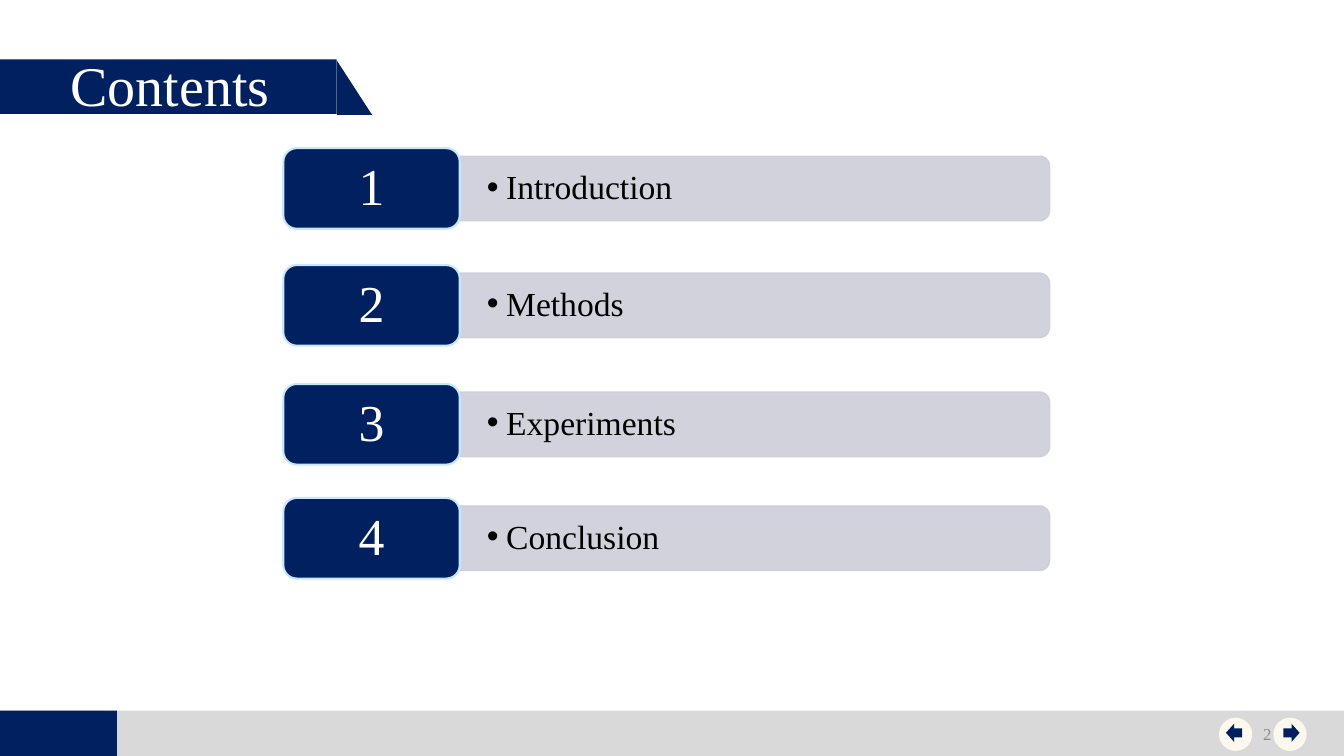
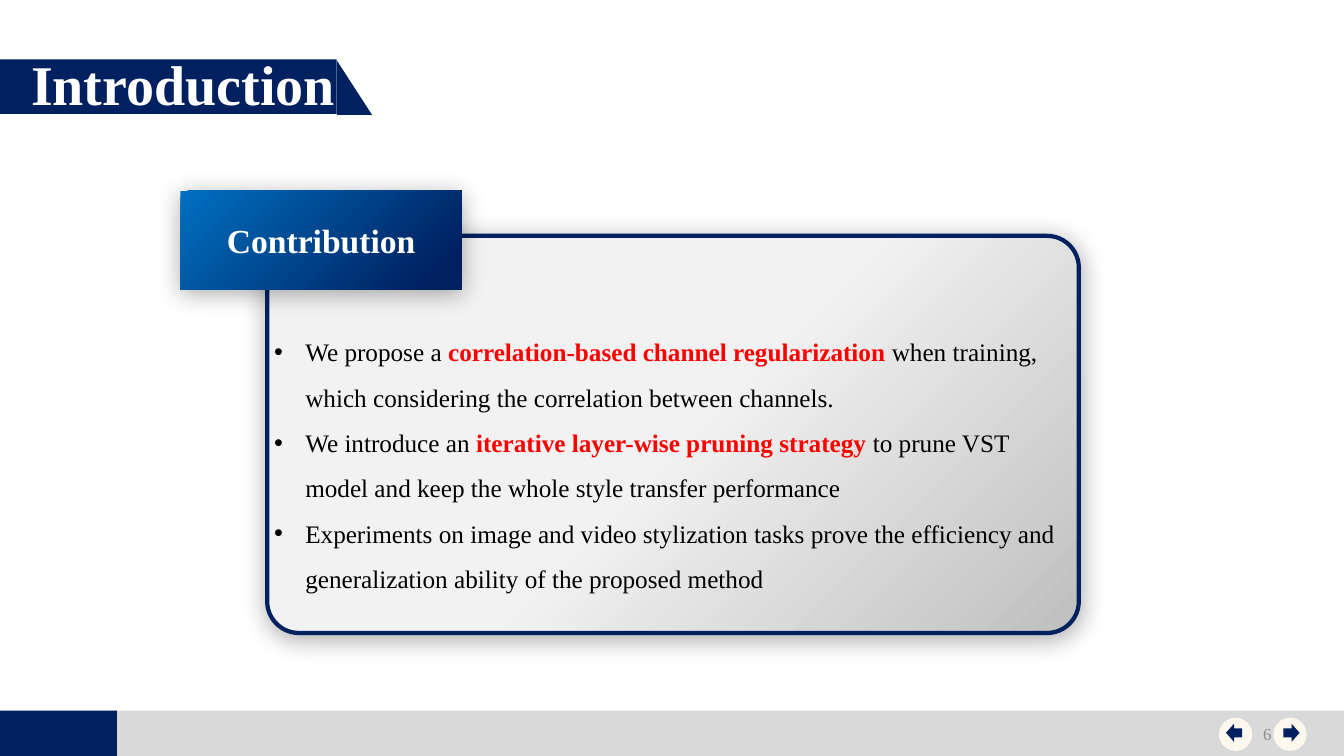
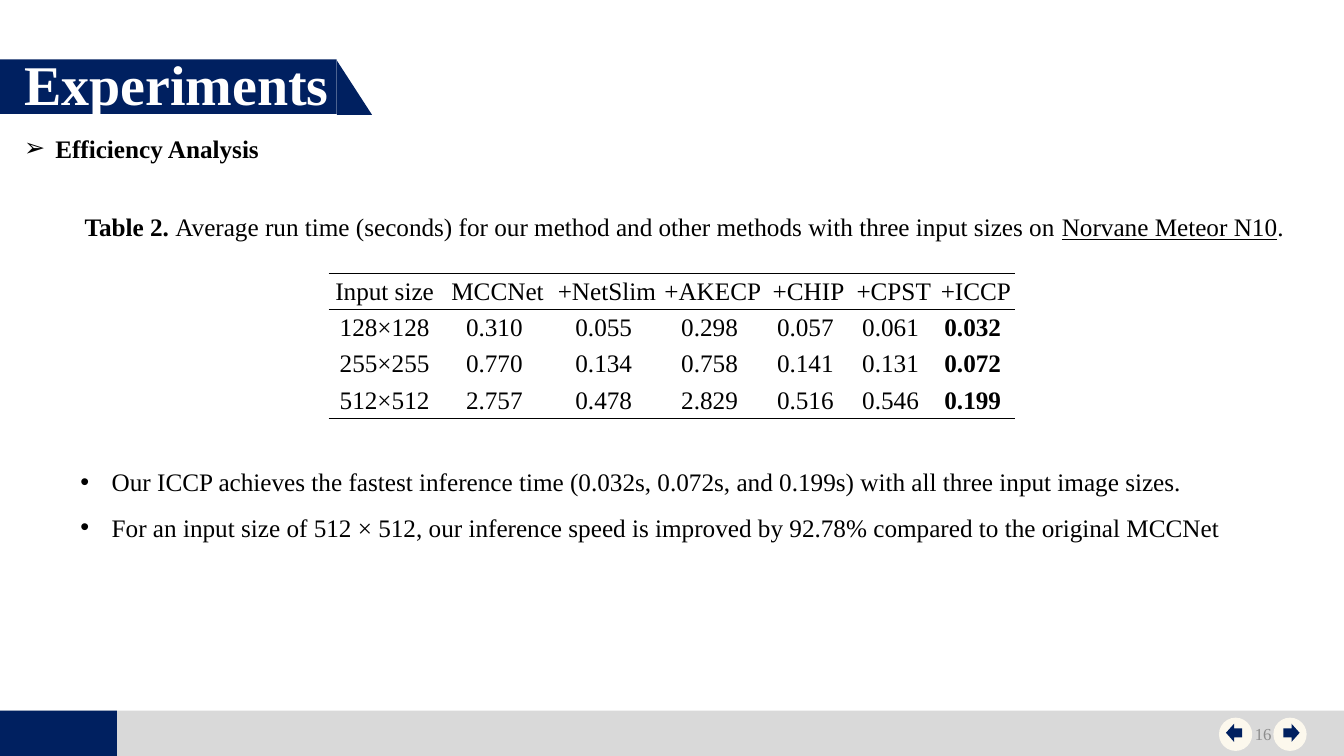
from dataclasses import dataclass
from math import cos, pi, sin

from lxml import etree
from pptx import Presentation
from pptx import util as u
from pptx.dml.color import RGBColor
from pptx.enum import shapes, text
from pptx.oxml.ns import qn

KIND = shapes.MSO_SHAPE
ALIGN = text.PP_ALIGN
MIDDLE = text.MSO_ANCHOR.MIDDLE


@dataclass(frozen=True)
class Theme:
    font: str = "Times New Roman"
    navy: str = "002060"
    blue: str = "0070C0"
    white: str = "FFFFFF"
    black: str = "000000"
    red: str = "FF0000"
    band: str = "D9D9D9"
    cream: str = "FCF8ED"
    bar: str = "CCCED9"
    number_edge: str = "C6E7FC"
    card_light: str = "F2F2F2"
    card_dark: str = "BFBFBF"
    page: str = "8C8C8C"
    title_size: int = 40
    number_size: int = 37
    heading_size: int = 24
    body_size: int = 18
    page_size: int = 12


T = Theme()
WIDTH, HEIGHT = 13.33, 7.5
INSETS = (0.1, 0.05, 0.1, 0.05)
HANGING = 0.31

# Content: a paragraph is a list of (words, format) runs.
PLAIN, STRONG = {}, {"bold": True}
KEY = {"bold": True, "color": T.red}

AGENDA = [("Introduction", 1.55), ("Methods", 2.71),
          ("Experiments", 3.89), ("Conclusion", 5.02)]

CONTRIBUTIONS = [
    [("We propose a ", PLAIN),
     ("correlation-based channel regularization ", KEY),
     ("when training, which considering the correlation between channels.", PLAIN)],
    [("We introduce an ", PLAIN),
     ("iterative layer-wise pruning strategy ", KEY),
     ("to prune VST model and keep the whole style transfer performance", PLAIN)],
    [("Experiments on image and video stylization tasks prove the efficiency and "
      "generalization ability of the proposed method", PLAIN)],
]

CAPTION = [
    ("Table 2. ", STRONG),
    ("Average run time (seconds) for our method and other methods "
     "with three input sizes on ", PLAIN),
    ("Norvane Meteor N10", {"underline": True}),
    (".", PLAIN),
]
METHODS = ["MCCNet", "+NetSlim", "+AKECP", "+CHIP", "+CPST", "+ICCP"]
RUN_TIMES = {
    "128×128": [0.310, 0.055, 0.298, 0.057, 0.061, 0.032],
    "255×255": [0.770, 0.134, 0.758, 0.141, 0.131, 0.072],
    "512×512": [2.757, 0.478, 2.829, 0.516, 0.546, 0.199],
}
COLUMN_WIDTHS = [1.11, 1.13, 1.04, 1.06, 0.84, 0.85, 0.78]
ROW_HEIGHT = 0.36

FINDINGS = [
    [("Our ICCP achieves the fastest inference time (0.032s, 0.072s, and 0.199s) "
      "with all three input image sizes.", PLAIN)],
    [("For an input size of 512 × 512, our inference speed is improved by 92.78% "
      "compared to the original MCCNet", PLAIN)],
]


def rgb(code):
    return RGBColor.from_string(code)


def child(parent, tag, **attributes):
    return etree.SubElement(parent, qn(tag), {k: str(v) for k, v in attributes.items()})


def write(frame, paragraphs, size=T.body_size, color=T.black, align=ALIGN.LEFT,
          spacing=None, bullet=None, hanging=HANGING, anchor=None, insets=INSETS):
    frame.word_wrap = True
    if anchor is not None:
        frame.vertical_anchor = anchor
    for side, inset in zip(("left", "top", "right", "bottom"), insets):
        setattr(frame, f"margin_{side}", u.Inches(inset))
    for i, runs in enumerate(paragraphs):
        paragraph = frame.add_paragraph() if i else frame.paragraphs[0]
        paragraph.alignment = align
        if spacing:
            paragraph.line_spacing = spacing
        if bullet:
            properties = paragraph._p.get_or_add_pPr()
            properties.set("marL", str(u.Inches(hanging)))
            properties.set("indent", str(-u.Inches(hanging)))
            child(properties, "a:buFont", typeface="Arial")
            child(properties, "a:buChar", char=bullet)
        for words, override in runs:
            run = paragraph.add_run()
            run.text = words
            look = {"name": T.font, "size": u.Pt(size), "color": color, **override}
            run.font.color.rgb = rgb(look.pop("color"))
            for key, value in look.items():
                setattr(run.font, key, value)


def add_text(slide, box, paragraphs, **look):
    write(slide.shapes.add_textbox(*map(u.Inches, box)).text_frame, paragraphs, **look)


def paint(shape, fill, line=None, line_width=1):
    """Fill with one colour, or with a diagonal gradient of (position, colour) stops."""
    shape.shadow.inherit = False
    if isinstance(fill, str):
        shape.fill.solid()
        shape.fill.fore_color.rgb = rgb(fill)
    else:
        shape.fill.gradient()
        shape.fill.gradient_angle = 315
        for stop, (position, color) in zip(shape.fill.gradient_stops, fill):
            stop.position, stop.color.rgb = position, rgb(color)
    if line:
        shape.line.color.rgb = rgb(line)
        shape.line.width = u.Pt(line_width)
    else:
        shape.line.fill.background()
    return shape


def add_block(slide, kind, box, fill, **outline):
    return paint(slide.shapes.add_shape(kind, *map(u.Inches, box)), fill, **outline)


def cast_shadow(shape):
    shadow = child(shape._element.spPr.find(qn("a:effectLst")), "a:outerShdw",
                   blurRad=u.Pt(17.8), dist=u.Pt(3), dir=87 * 60000,
                   algn="ctr", rotWithShape=0)
    child(child(shadow, "a:srgbClr", val=T.black), "a:alpha", val=33000)


def add_agenda_bar(slide, left, top, width, height, radius=0.1, steps=8):
    """Draw a bar with rounded corners on its right side only."""
    right, bottom = left + width, top + height
    outline = [(left, bottom), (left, top)]
    for center_y, start in ((top + radius, -pi / 2), (bottom - radius, 0)):
        for step in range(steps + 1):
            angle = start + step * pi / 2 / steps
            outline.append((right - radius + radius * cos(angle),
                            center_y + radius * sin(angle)))
    points = [(u.Inches(x), u.Inches(y)) for x, y in outline]
    builder = slide.shapes.build_freeform(*points[0])
    builder.add_line_segments(points[1:], close=True)
    bar = paint(builder.convert_to_shape(), T.bar, line=T.bar)
    for color in bar._element.spPr.iter(qn("a:srgbClr")):
        child(color, "a:alpha", val=90000)
    return bar


def new_slide(deck, title, page, title_left, title_top=0.44, bold=True):
    slide = deck.slides.add_slide(deck.slide_layouts[6])
    band_top, band_height = 7.05, HEIGHT - 7.05
    add_block(slide, KIND.RECTANGLE, (0, band_top, WIDTH, band_height), T.band)
    add_block(slide, KIND.RECTANGLE, (0, band_top, 1.16, band_height), T.navy)
    add_block(slide, KIND.RECTANGLE, (0, 0.59, 3.34, 0.54), T.navy)
    add_block(slide, KIND.RIGHT_TRIANGLE, (3.34, 0.6, 0.35, 0.54), T.navy)
    add_text(slide, (title_left, title_top, 3.69, 0.77), [[(title, {"bold": bold})]],
             size=T.title_size, color=T.white)
    for arrow, disc_left, arrow_left in ((KIND.RIGHT_ARROW, 12.63, 12.73),
                                         (KIND.LEFT_ARROW, 12.09, 12.16)):
        add_block(slide, KIND.OVAL, (disc_left, 7.12, 0.33, 0.33), T.cream)
        add_block(slide, arrow, (arrow_left, 7.18, 0.16, 0.18), T.navy)
    add_text(slide, (9.71, 7.08, 3, 0.4), [[(str(page), PLAIN)]], size=T.page_size,
             color=T.page, align=ALIGN.RIGHT, anchor=MIDDLE)
    return slide


def build_contents(deck):
    slide = new_slide(deck, "Contents", 2, 0.6, 0.45, bold=False)
    for number, (topic, top) in enumerate(AGENDA, 1):
        bar = add_agenda_bar(slide, 4.56, top, 5.85, 0.64)
        write(bar.text_frame, [[(topic, PLAIN)]], size=T.heading_size, spacing=0.9,
              bullet="•", hanging=0.19, anchor=MIDDLE, insets=(0.27, 0.17, 0.3, 0.17))
        badge = add_block(slide, KIND.ROUNDED_RECTANGLE, (2.81, top - 0.08, 1.75, 0.8),
                          T.navy, line=T.number_edge, line_width=1.5)
        write(badge.text_frame, [[(str(number), PLAIN)]], size=T.number_size,
              color=T.white, align=ALIGN.CENTER, spacing=0.9, anchor=MIDDLE,
              insets=(0.19, 0.12, 0.19, 0.12))


def build_introduction(deck):
    slide = new_slide(deck, "Introduction", 6, 0.21)
    card = add_block(slide, KIND.ROUNDED_RECTANGLE, (2.65, 2.34, 8.05, 3.94),
                     [(0.5, T.card_light), (1, T.card_dark)], line=T.navy, line_width=3)
    card.adjustments[0] = 0.08
    cast_shadow(card)
    add_text(slide, (2.62, 3.14, 8.13, 2.77), CONTRIBUTIONS, spacing=1.5, bullet="•")
    label = add_block(slide, KIND.RECTANGLE, (1.79, 1.89, 2.79, 0.98),
                      [(0, T.blue), (0.9, T.navy)])
    cast_shadow(label)
    write(label.text_frame, [[("Contribution", STRONG)]], size=T.heading_size,
          color=T.white, align=ALIGN.CENTER, anchor=MIDDLE)


def rule_cell(cell, sides):
    """Rule the named sides (T, B) of a cell and leave the others bare."""
    properties = cell._tc.get_or_add_tcPr()
    for i, side in enumerate("LRTB"):
        ruled = side in sides
        edge = etree.Element(qn(f"a:ln{side}"), {"w": str(u.Pt(0.5) if ruled else 0)})
        if ruled:
            child(child(edge, "a:solidFill"), "a:srgbClr", val=T.black)
        else:
            child(edge, "a:noFill")
        properties.insert(i, edge)


def add_run_times(slide, left, top):
    rows = [["Input size", *METHODS]]
    rows += [[size, *(f"{seconds:.3f} " for seconds in times)]
             for size, times in RUN_TIMES.items()]
    rules = ["TB", "T", "", "B"]
    frame = (left, top, sum(COLUMN_WIDTHS), ROW_HEIGHT * len(rows))
    table = slide.shapes.add_table(len(rows), len(COLUMN_WIDTHS),
                                   *map(u.Inches, frame)).table
    table.first_row = table.horz_banding = False
    for column, width in zip(table.columns, COLUMN_WIDTHS):
        column.width = u.Inches(width)
    for r, values in enumerate(rows):
        table.rows[r].height = u.Inches(ROW_HEIGHT)
        for c, value in enumerate(values):
            cell = table.cell(r, c)
            best = r > 0 and c == len(METHODS)
            cell.fill.background()
            cell.vertical_anchor = MIDDLE
            for side, inset in zip(("left", "top", "right", "bottom"),
                                   (0.01, 0.01, 0.01, 0)):
                setattr(cell, f"margin_{side}", u.Inches(inset))
            write(cell.text_frame, [[(value, {"bold": best})]], align=ALIGN.CENTER,
                  insets=())
            rule_cell(cell, rules[r])


def build_experiments(deck):
    slide = new_slide(deck, "Experiments", 16, 0.14)
    add_text(slide, (0.14, 1.27, 2.7, 0.4), [[("Efficiency Analysis", STRONG)]],
             bullet="➢")
    add_run_times(slide, 3.26, 2.71)
    add_text(slide, (0.74, 2.05, 12.78, 0.4), [CAPTION])
    add_text(slide, (0.7, 4.43, 11.93, 0.95), FINDINGS, spacing=1.5, bullet="•")


def main():
    deck = Presentation()
    deck.slide_width, deck.slide_height = u.Inches(WIDTH), u.Inches(HEIGHT)
    for build in (build_contents, build_introduction, build_experiments):
        build(deck)
    deck.save("out.pptx")


if __name__ == "__main__":
    main()
